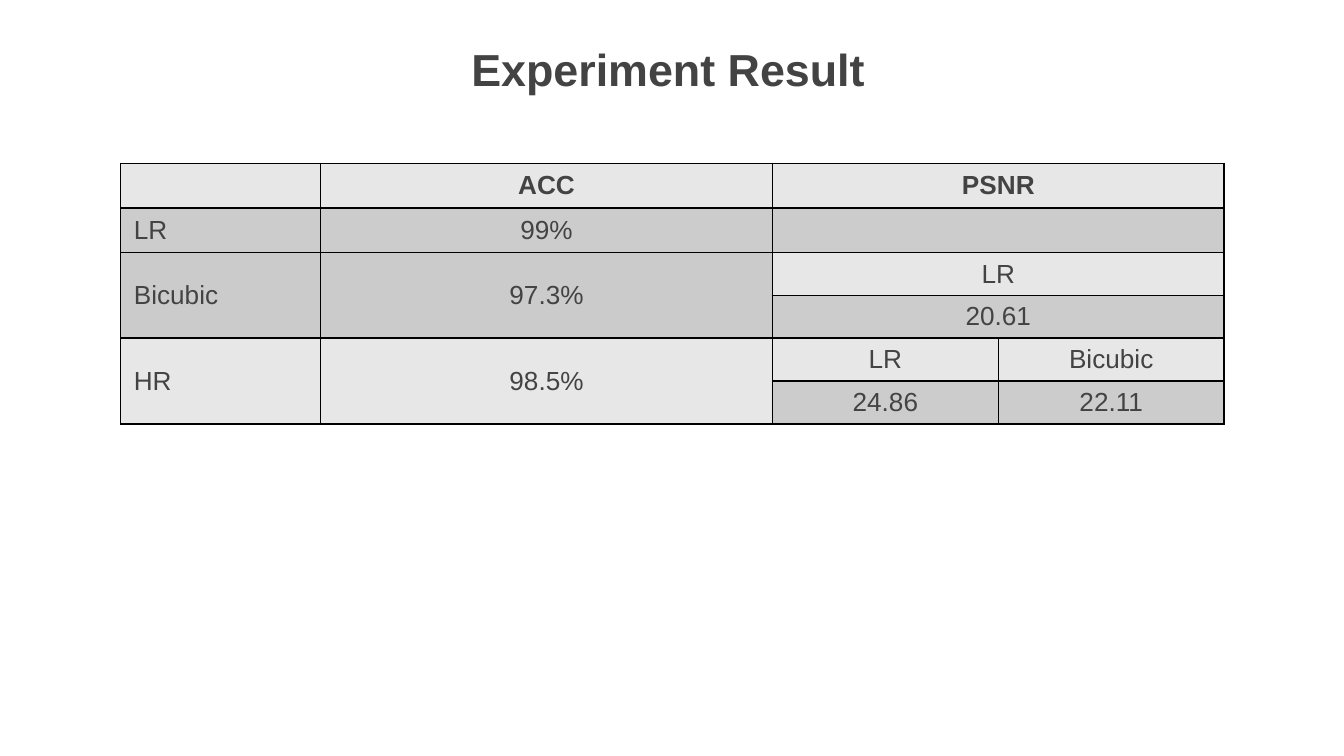
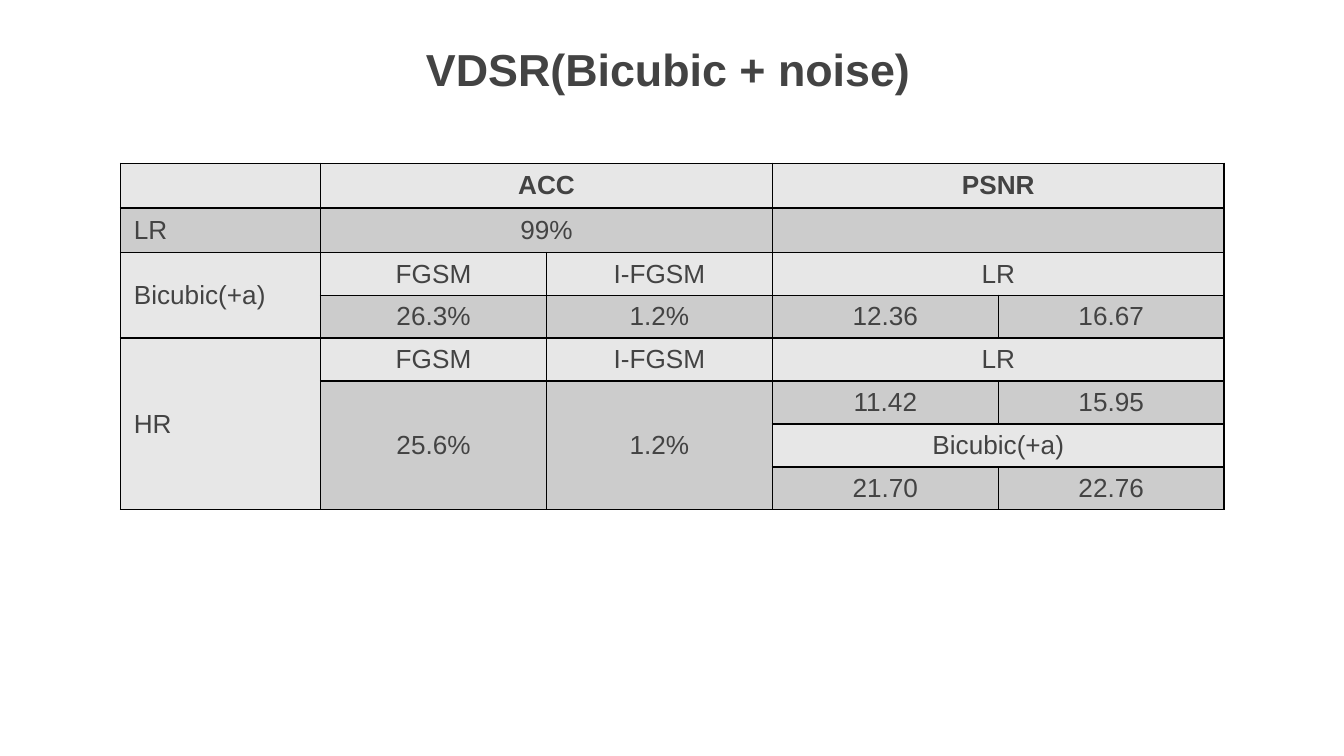
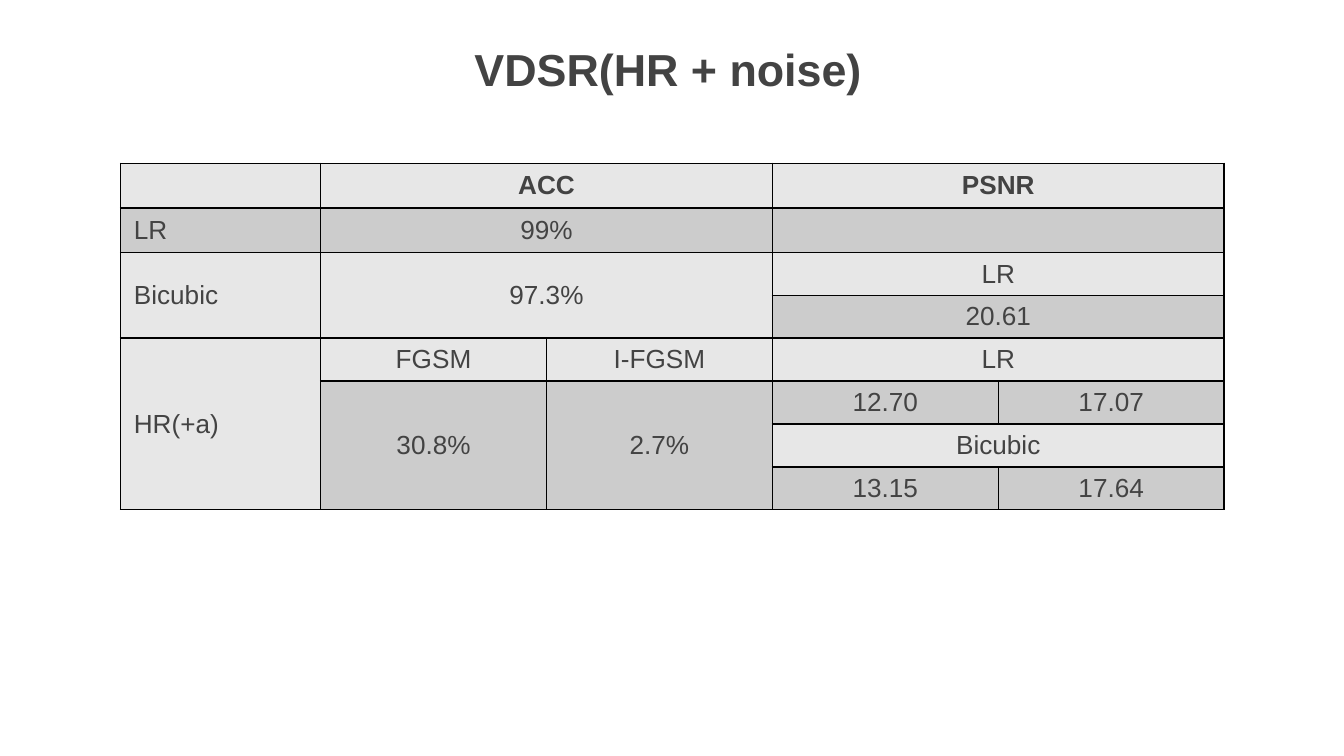
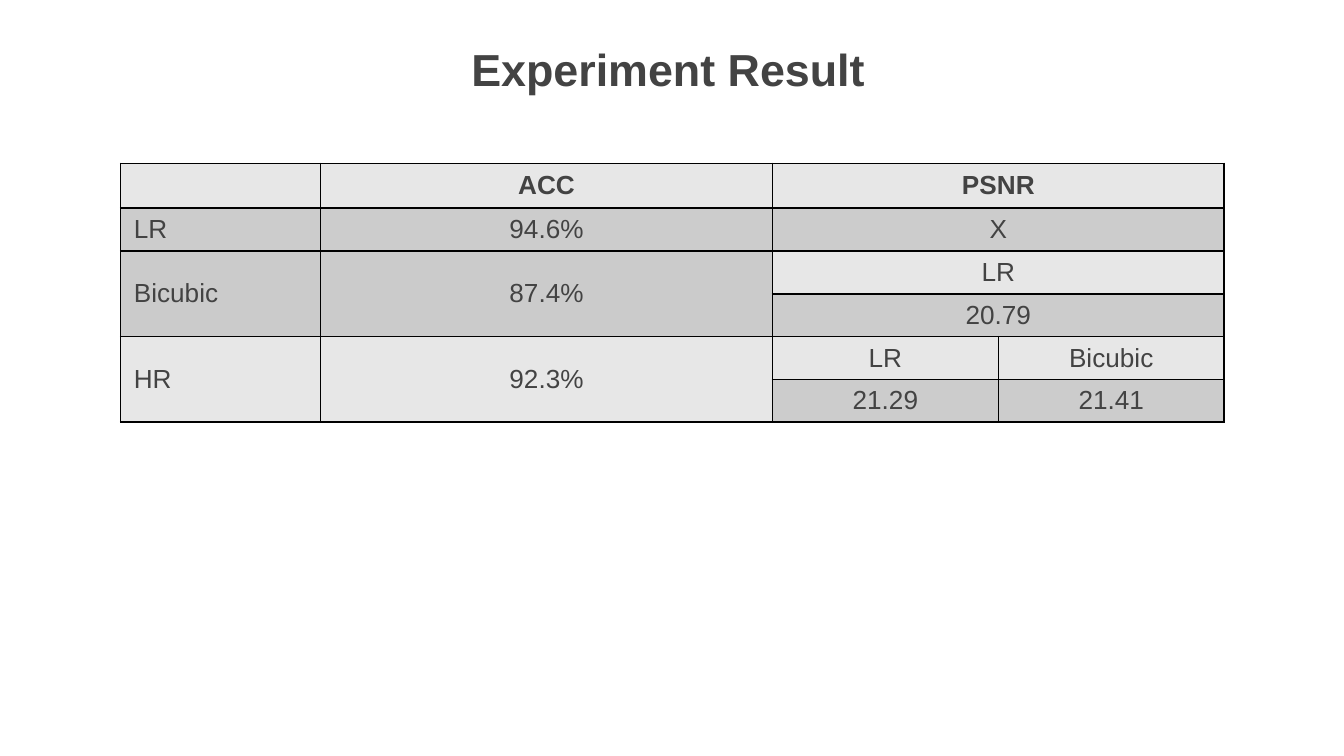
from lxml import etree
from pptx import Presentation
from pptx.dml.color import RGBColor
from pptx.enum.text import MSO_ANCHOR, MSO_AUTO_SIZE, PP_ALIGN
from pptx.oxml.ns import qn
from pptx.util import Cm, Pt

CENTER, JUSTIFY = PP_ALIGN.CENTER, PP_ALIGN.JUSTIFY
TOP, MIDDLE = MSO_ANCHOR.TOP, MSO_ANCHOR.MIDDLE
NO_FIT = MSO_AUTO_SIZE.NONE
TITLE_ONLY = 5

# Content: "<" joins a cell to the one on its left, "^" to the one above
SINGLE_HEAD = ["", "ACC", "PSNR", "<"]
DOUBLE_HEAD = ["", "ACC", "<", "PSNR", "<"]
METHODS = ["FGSM", "I-FGSM", "LR", "<"]

SLIDES = [
    ("Experiment Result", [
        SINGLE_HEAD,
        ["LR", "99%", "", "<"],
        ["Bicubic", "97.3%", "LR", "<"],
        ["^", "^", "20.61", "<"],
        ["HR", "98.5%", "LR", "Bicubic"],
        ["^", "^", "24.86", "22.11"],
    ]),
    ("VDSR(Bicubic + noise)", [
        DOUBLE_HEAD,
        ["LR", "99%", "<", "", "<"],
        ["Bicubic(+a)", *METHODS],
        ["^", "26.3%", "1.2%", "12.36", "16.67"],
        ["HR", *METHODS],
        ["^", "25.6%", "1.2%", "11.42", "15.95"],
        ["^", "^", "^", "Bicubic(+a)", "<"],
        ["^", "^", "^", "21.70", "22.76"],
    ]),
    ("VDSR(HR + noise)", [
        DOUBLE_HEAD,
        ["LR", "99%", "<", "", "<"],
        ["Bicubic", "97.3%", "<", "LR", "<"],
        ["^", "^", "^", "20.61", "<"],
        ["HR(+a)", *METHODS],
        ["^", "30.8%", "2.7%", "12.70", "17.07"],
        ["^", "^", "^", "Bicubic", "<"],
        ["^", "^", "^", "13.15", "17.64"],
    ]),
    ("Experiment Result", [
        SINGLE_HEAD,
        ["LR", "94.6%", "X", "<"],
        ["Bicubic", "87.4%", "LR", "<"],
        ["^", "^", "20.79", "<"],
        ["HR", "92.3%", "LR", "Bicubic"],
        ["^", "^", "21.29", "21.41"],
    ]),
]

# Shared style
FONT, INK, BORDER = "Arial", "434343", "000000"
BANDS = ("E7E7E7", "CCCCCC")
SOLID_BAND = "CBCBCB"
TITLE_SIZE, CELL_SIZE = 24, 14
TITLE_BOX = dict(left=Cm(0.66), top=Cm(0.46), width=Cm(23.93), height=Cm(2.62))
TITLE_FRAME = dict(margin_left=Cm(0.25), margin_right=Cm(0.25), margin_top=Cm(0.32),
                   margin_bottom=Cm(0.25), vertical_anchor=TOP, word_wrap=True,
                   auto_size=NO_FIT)
CELL_FRAME = dict(margin_left=Cm(0.25), margin_right=Cm(0.25), margin_top=Cm(0.12),
                  margin_bottom=Cm(0.12), vertical_anchor=MIDDLE)
TABLE_LEFT, TABLE_TOP = Cm(2.28), Cm(3.09)
LABEL_W, HALF_W = Cm(3.78), Cm(4.27)
TALL_ROW, ROW = Cm(0.83), Cm(0.81)


def rgb(value):
    return RGBColor.from_string(value)


def set_all(obj, values):
    for name, value in values.items():
        setattr(obj, name, value)


def write(p, text, size, bold, align):
    p.alignment = align
    if text:
        r = p.add_run()
        r.text = text
        set_all(r.font, dict(name=FONT, size=Pt(size), bold=bold))
        r.font.color.rgb = rgb(INK)
    else:
        # An empty cell keeps its row low through its end mark
        etree.SubElement(p._p, qn("a:endParaRPr"), sz=str(size * 100))


def add_borders(cell):
    tc_pr = cell._tc.get_or_add_tcPr()
    for side in ("a:lnL", "a:lnR", "a:lnT", "a:lnB"):
        ln = etree.SubElement(tc_pr, qn(side), w=str(Pt(1)))
        fill = etree.SubElement(ln, qn("a:solidFill"))
        etree.SubElement(fill, qn("a:srgbClr"), val=BORDER)


def run_length(values, mark):
    """Count the first value and the marks that follow it."""
    count = 1
    while count < len(values) and values[count] == mark:
        count += 1
    return count


def add_title(s, text):
    title = s.shapes.title
    set_all(title, TITLE_BOX)
    set_all(title.text_frame, TITLE_FRAME)
    write(title.text_frame.paragraphs[0], text, TITLE_SIZE, True, CENTER)


def add_result_table(s, rows):
    single = len(rows[0]) == len(SINGLE_HEAD)
    widths = [LABEL_W] + ([2 * HALF_W, HALF_W, HALF_W] if single else [HALF_W] * 4)
    tall = 1 if single else 2
    heights = [TALL_ROW] * tall + [ROW] * (len(rows) - tall)
    table = s.shapes.add_table(len(rows), len(widths), TABLE_LEFT, TABLE_TOP,
                               sum(widths), sum(heights)).table
    table.first_row = table.horz_banding = False
    for column, width in zip(table.columns, widths):
        column.width = width
    for row, height in zip(table.rows, heights):
        row.height = height

    # Cells: bands alternate by the row in which a cell starts
    for i, row in enumerate(rows):
        for j, text in enumerate(row):
            cell = table.cell(i, j)
            joined = text in ("<", "^")
            solid = single and i in (2, 3) and j < 2
            set_all(cell, CELL_FRAME)
            add_borders(cell)
            cell.fill.solid()
            cell.fill.fore_color.rgb = rgb(SOLID_BAND if solid else BANDS[i % 2])
            write(cell.text_frame.paragraphs[0], "" if joined else text,
                  CELL_SIZE, i == 0, CENTER if j else JUSTIFY)

    # Merges
    for i, row in enumerate(rows):
        for j, text in enumerate(row):
            across = run_length(row[j:], "<")
            down = run_length([r[j] for r in rows[i:]], "^")
            if text not in ("<", "^") and across * down > 1:
                table.cell(i, j).merge(table.cell(i + down - 1, j + across - 1))


def main():
    prs = Presentation()
    prs.slide_width, prs.slide_height = Cm(25.4), Cm(14.29)
    for title, rows in SLIDES:
        s = prs.slides.add_slide(prs.slide_layouts[TITLE_ONLY])
        add_title(s, title)
        add_result_table(s, rows)
    prs.save("out.pptx")


if __name__ == "__main__":
    main()
